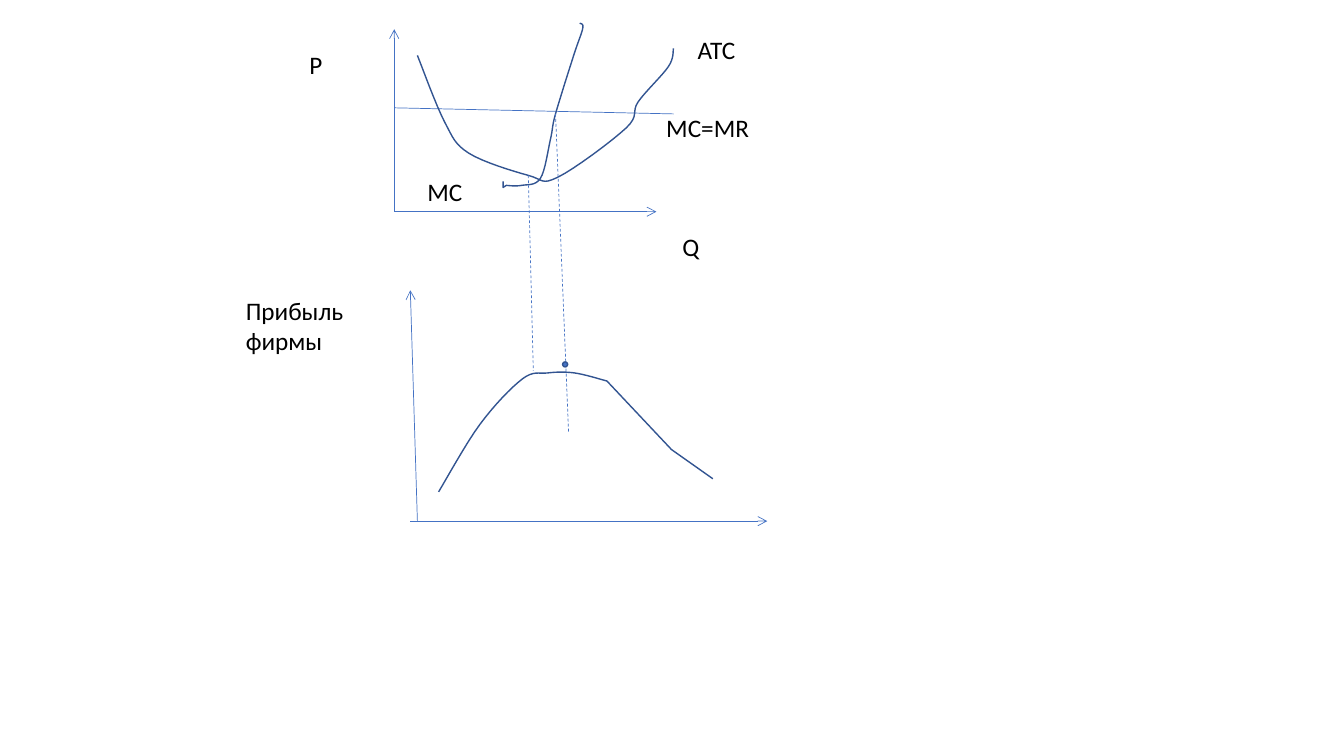
from lxml import etree
from pptx import Presentation
from pptx.dml.color import RGBColor
from pptx.enum.dml import MSO_LINE
from pptx.enum.shapes import MSO_CONNECTOR, MSO_SHAPE
from pptx.enum.text import MSO_AUTO_SIZE
from pptx.oxml.ns import qn
from pptx.util import Pt

PX = 9144  # 100 px to the inch
STRAIGHT = MSO_CONNECTOR.STRAIGHT
DOT = MSO_SHAPE.FLOWCHART_CONNECTOR
DASH = MSO_LINE.DASH
GROW = MSO_AUTO_SIZE.SHAPE_TO_FIT_TEXT
FONT = "Calibri"
COLOURS = {"axis": "4472C4", "curve": "325491", "text": "000000"}

# Top left corner of each chart; every other point is relative to one of them.
COST_BOX = (200, 0)
PROFIT_BOX = (200, 280)

# Points where the cost curves meet other lines.
MC_MEETS_MR = (351, 113)
MC_MEETS_ATC = (336, 177)
GUIDE_START = (324, 174)

# Knots of each curve: its ends, its crossings and its bends.
ATC_KNOTS = [(214, 55), (241, 121), (265, 152), GUIDE_START, (353, 176),
             (421, 127), (433, 101), (463, 66), (468, 48)]
MC_HOOK = [(299, 180), (299, 186)]
MC_KNOTS = [(302, 184), (317, 184), MC_MEETS_ATC, (346, 138), MC_MEETS_MR,
            (369, 55), (378, 28), (375, 23)]
PROFIT_KNOTS = [(235, 208), (276, 141), (318, 96), (343, 90), (370, 90), (402, 98)]
PROFIT_FALL = [(466, 166), (507, 195)]

# Text, place and width of each label.
COST_LABELS = [
    ("P", (97, 44), 71),
    ("Q", (467, 225), 94),
    ("MC=MR", (451, 107), 150),
    ("MC", (214, 170), 71),
    ("ATC", (482, 29), 87),
]


def colour(name):
    return RGBColor.from_string(COLOURS[name])


def shift(box, point):
    return box[0] + point[0], box[1] + point[1]


def to_emu(*lengths):
    return [round(length * PX) for length in lengths]


def smooth(knots, steps=8):
    """Return points on a Catmull-Rom spline that passes through all knots."""
    padded = [knots[0], *knots, knots[-1]]
    points = [knots[0]]
    for before, start, end, after in zip(padded, padded[1:], padded[2:], padded[3:]):
        for step in range(1, steps + 1):
            t = step / steps
            points.append(tuple(
                (2 * b + (c - a) * t + (2 * a - 5 * b + 4 * c - d) * t ** 2
                 + (3 * b - a - 3 * c + d) * t ** 3) / 2
                for a, b, c, d in zip(before, start, end, after)))
    return points


def add_line(page, box, start, end, arrow=False, dashed=False):
    ends = to_emu(*shift(box, start), *shift(box, end))
    connector = page.shapes.add_connector(STRAIGHT, *ends)
    connector.line.color.rgb = colour("axis")
    connector.line.width = Pt(0.5)
    if dashed:
        connector.line.dash_style = DASH
    if arrow:
        outline = connector.line._get_or_add_ln()
        etree.SubElement(outline, qn("a:tailEnd"), type="arrow")
    etree.SubElement(connector._element.spPr, qn("a:effectLst"))


def draw_outline(shape):
    shape.shadow.inherit = False
    shape.line.color.rgb = colour("curve")
    shape.line.width = Pt(1)


def add_curve(page, box, points):
    first, *rest = [to_emu(*shift(box, point)) for point in points]
    builder = page.shapes.build_freeform(*first)
    builder.add_line_segments(rest, close=False)
    curve = builder.convert_to_shape()
    curve.fill.background()
    draw_outline(curve)


def add_dot(page, box, at, size):
    dot = page.shapes.add_shape(DOT, *to_emu(*shift(box, at), size, size))
    dot.fill.solid()
    dot.fill.fore_color.rgb = colour("axis")
    draw_outline(dot)


def add_label(page, box, text, at, width, height=40, size=18):
    label = page.shapes.add_textbox(*to_emu(*shift(box, at), width, height))
    frame = label.text_frame
    frame.word_wrap = True
    frame.auto_size = GROW
    span = frame.paragraphs[0].add_run()
    span.text = text
    span.font.name = FONT
    span.font.size = Pt(size)
    span.font.color.rgb = colour("text")


def draw_axes(page, box, foot, top, left, right):
    """Draw an axis from foot to top, and a level one from left to right."""
    base = foot[1]
    add_line(page, box, foot, top, arrow=True)
    add_line(page, box, (left, base), (right, base), arrow=True)


def draw_cost_chart(page, box):
    draw_axes(page, box, foot=(191, 210), top=(191, 29), left=191, right=451)
    add_line(page, box, (191, 107), (468, 113))
    add_curve(page, box, smooth(ATC_KNOTS))
    add_curve(page, box, MC_HOOK + smooth(MC_KNOTS))
    for text, at, width in COST_LABELS:
        add_label(page, box, text, at, width)


def draw_profit_chart(page, box):
    draw_axes(page, box, foot=(214, 237), top=(207, 8), left=207, right=561)
    add_curve(page, box, smooth(PROFIT_KNOTS) + PROFIT_FALL)
    add_label(page, box, "Прибыль фирмы", (34, 8), 134, height=71)
    add_dot(page, box, (358, 79), 5)


def draw_guides(page, box):
    """Drop dashed lines from the cost curves to the profit chart below."""
    for start, end in ((MC_MEETS_MR, (364, 430)), (GUIDE_START, (329, 368))):
        add_line(page, box, start, end, dashed=True)


def main():
    deck = Presentation()
    deck.slide_width, deck.slide_height = to_emu(1333, 750)
    page = deck.slides.add_slide(deck.slide_layouts.get_by_name("Blank"))
    draw_cost_chart(page, COST_BOX)
    draw_guides(page, COST_BOX)
    draw_profit_chart(page, PROFIT_BOX)
    deck.save("out.pptx")


if __name__ == "__main__":
    main()
